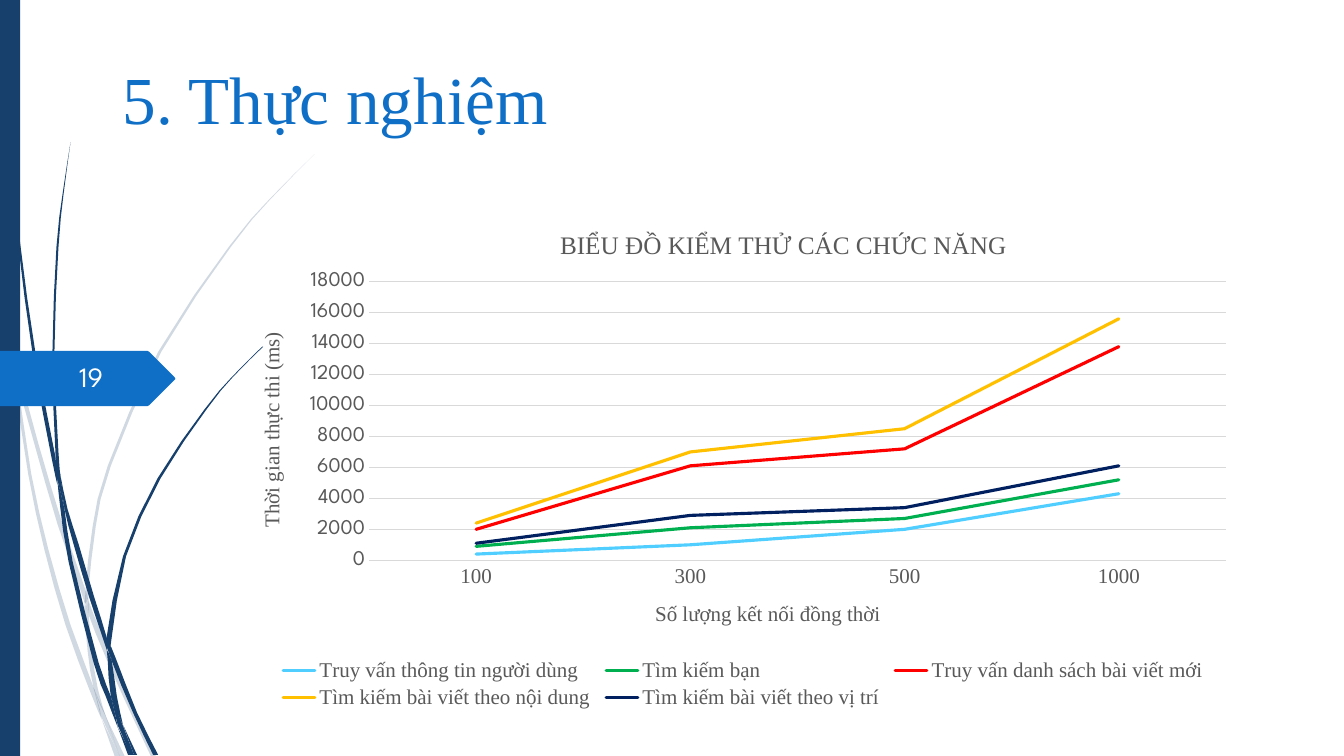
from pptx import Presentation, util as u
from pptx.chart.data import CategoryChartData
from pptx.dml.color import RGBColor
from pptx.enum import chart as ch, shapes, text
from pptx.oxml import parse_xml
from pptx.oxml.ns import nsdecls, qn

# Content
WIDE, HIGH = 13.33, 7.5
HUES = {"navy": "17406D", "blue": "0F6FC6", "white": "FEFFFF",
        "gray": "595959", "grid": "D9D9D9"}
SERIF, SANS = "Times New Roman", "League Spartan"
HEAD = "5. Thực nghiệm"
PAGE = "19"
NAME = "BIỂU ĐỒ KIỂM THỬ CÁC CHỨC NĂNG"
X_NAME = "Số lượng kết nối đồng thời"
Y_NAME = "Thời gian thực thi (ms)"
CATS = ["100", "300", "500", "1000"]
ROWS = [
    ("Truy vấn thông tin người dùng", "4FCEFF", (400, 1000, 2000, 4300)),
    ("Tìm kiếm bạn", "00B050", (900, 2100, 2700, 5200)),
    ("Truy vấn danh sách bài viết mới", "FF0000", (2000, 6100, 7200, 13800)),
    ("Tìm kiếm bài viết theo nội dung", "FFC000", (2400, 7000, 8500, 15600)),
    ("Tìm kiếm bài viết theo vị trí", "002060", (1100, 2900, 3400, 6100)),
]

# Grass blades: rows of (height, left edge, right edge), from tip to root
PALE = [
    [(2.82, 0, 0), (2.99, 0, .04), (3.22, .05, .09), (3.5, .11, .11)],
    [(3.45, .14, .14), (3.76, .17, .21), (4.4, .34, .38), (5.2, .57, .62),
     (5.86, .8, .85), (5.99, .84, .84)],
    [(5.96, .88, .88), (6.1, .88, .93), (6.5, 1.04, 1.1),
     (6.93, 1.23, 1.28), (7.51, 1.5, 1.55)],
    [(7.11, 1.05, 1.05), (7.51, 1.19, 1.24)],
    [(3.5, .11, .11), (3.76, .14, .17), (4.7, .28, .31), (5.45, .44, .48),
     (6.2, .65, .7), (6.85, .89, .94), (7.14, 1.01, 1.01)],
    [(5.99, .84, .84), (6.1, .84, .88), (6.46, .87, .91),
     (6.83, .93, .97), (7.11, 1.05, 1.05)],
    [(1.53, 3.12, 3.12), (1.98, 2.67, 2.68), (2.45, 2.27, 2.29),
     (3.49, 1.57, 1.6), (4.62, 1.07, 1.1), (5.22, .92, .95),
     (5.84, .85, .88), (5.96, .88, .88)],
    [(7.14, 1.01, 1.01), (7.51, 1.14, 1.19)],
    [(5.86, .85, .85), (5.97, .84, .88), (6.1, .88, .88)],
    [(6.83, .93, .93), (7.1, 1, 1.05), (7.51, 1.19, 1.19)],
]
DARK = [
    [(0, .03, .04), (1.1, .07, .08), (2.33, .17, .19), (3.55, .33, .36),
     (4.53, .51, .55), (4.81, .57, .57)],
    [(4.72, .6, .6), (5.05, .64, .67), (5.4, .73, .78), (5.91, .88, .93),
     (6.33, 1.02, 1.06), (6.45, 1.06, 1.06)],
    [(6.41, 1.1, 1.1), (6.56, 1.11, 1.16), (7.07, 1.32, 1.36), (7.49, 1.52, 1.57)],
    [(4.77, .57, .57), (5.05, .6, .64), (5.57, .68, .72), (6.58, .93, .98),
     (6.91, 1.05, 1.1), (7.22, 1.17, 1.17)],
    [(1.41, .7, .7), (1.93, .62, .63), (2.45, .56, .58), (3.49, .52, .54),
     (4.49, .55, .58), (4.72, .6, .6)],
    [(7.19, 1.22, 1.22), (7.49, 1.33, 1.36)],
    [(4.49, .55, .55), (4.72, .56, .6), (5.05, .64, .64)],
    [(3.44, 2.6, 2.61), (3.74, 2.3, 2.31), (4.06, 2.03, 2.05),
     (4.75, 1.56, 1.59), (5.52, 1.22, 1.25), (6.31, 1.06, 1.11), (6.41, 1.1, 1.1)],
    [(7.22, 1.17, 1.17), (7.49, 1.27, 1.31)],
    [(6.45, 1.06, 1.06), (6.56, 1.07, 1.11), (6.91, 1.1, 1.16), (7.19, 1.22, 1.22)],
    [(6.31, 1.06, 1.06), (6.42, 1.06, 1.1), (6.56, 1.11, 1.11)],
    [(6.91, 1.1, 1.1), (7.2, 1.17, 1.22), (7.49, 1.3, 1.33)],
]
TAG = [(0, 3.48), (1.46, 3.48), (1.48, 3.49), (1.73, 3.74), (1.74, 3.76),
       (1.73, 3.77), (1.48, 4.02), (1.46, 4.03), (0, 4.03)]

# Places inside the chart, as shares of its frame
PLOT = (.13, .143, .85, .553)
KEY = (.036, .884, .93, .115)
SPOTS = {"top": (.315, .031), "x": (.41, .768), "y": (.016, .236)}


def rgb(hue):
    return RGBColor.from_string(HUES.get(hue, hue))


def paint(shape, hue):
    shape.shadow.inherit = False
    shape.fill.solid()
    shape.fill.fore_color.rgb = rgb(hue)
    shape.line.fill.background()


def style(font, size, face, hue):
    font.size, font.name, font.bold = u.Pt(size), face, False
    font.color.rgb = rgb(hue)


def bend(knots):
    """Add a smooth midpoint between each pair of knots."""
    ends = [knots[0]] + knots + [knots[-1]]
    out = []
    for a, b, c, d in zip(ends, ends[1:], ends[2:], ends[3:]):
        mid = tuple((9 * (q + r) - p - s) / 16 for p, q, r, s in zip(a, b, c, d))
        out += [b, mid]
    return out + [knots[-1]]


def draw(points, hue):
    spots = [(u.Inches(x), u.Inches(y)) for x, y in points]
    pen = slide.shapes.build_freeform(*spots[0])
    pen.add_line_segments(spots[1:], close=True)
    shape = pen.convert_to_shape()
    paint(shape, hue)
    return shape


def blade(knots):
    rows = bend(knots) if len(knots) > 3 else knots
    edge = [(x, y) for y, x, _ in rows] + [(x, y) for y, _, x in rows[::-1]]
    return draw(edge, "navy")


def write(box, words, size, face, hue, side, anchor):
    frame = slide.shapes.add_textbox(*map(u.Inches, box)).text_frame
    frame.word_wrap, frame.vertical_anchor = True, anchor
    para = frame.paragraphs[0]
    para.alignment = side
    run = para.add_run()
    run.text = words
    style(run.font, size, face, hue)


def place(node, spot, inner=False):
    """Pin a chart part at (x, y) or (x, y, w, h)."""
    for old in node.findall(qn("c:layout")):
        node.remove(old)
    keys = list(zip("xywh", spot))
    marks = '<c:layoutTarget val="inner"/>' if inner else ""
    marks += "".join(f'<c:{k}Mode val="edge"/>' for k, _ in keys[:2])
    marks += "".join(f'<c:{k} val="{v}"/>' for k, v in keys)
    new = parse_xml(f'<c:layout {nsdecls("c")}><c:manualLayout>{marks}'
                    '</c:manualLayout></c:layout>')
    if inner:
        node.insert(0, new)
    else:
        node.find(qn("c:overlay")).addprevious(new)


def label(title, words, size, spot):
    run = title.text_frame.paragraphs[0].add_run()
    run.text = words
    style(run.font, size, SERIF, "gray")
    place(title._element, SPOTS[spot])


deck = Presentation()
deck.slide_width, deck.slide_height = u.Inches(WIDE), u.Inches(HIGH)
slide = deck.slides.add_slide(deck.slide_layouts[6])

# Grass, side bar and page tag
for knots in PALE:
    hue = blade(knots)._element.spPr.find(qn("a:solidFill"))[0]
    hue.append(parse_xml(f'<a:alpha {nsdecls("a")} val="20000"/>'))
for knots in DARK:
    blade(knots)
bar = slide.shapes.add_shape(shapes.MSO_SHAPE.RECTANGLE, 0, 0,
                             u.Inches(.2), u.Inches(HIGH))
paint(bar, "navy")
draw(TAG, "blue")

# Heading and page number
write((1.12, .35, 7.1, 1.07), HEAD, 48, SERIF, "blue",
      text.PP_ALIGN.LEFT, text.MSO_ANCHOR.BOTTOM)
write((.27, 3.53, .85, .4), PAGE, 20, SANS, "white",
      text.PP_ALIGN.RIGHT, text.MSO_ANCHOR.MIDDLE)

# Chart
data = CategoryChartData()
data.categories = CATS
for name, _, vals in ROWS:
    data.add_series(name, vals)
chart = slide.shapes.add_chart(ch.XL_CHART_TYPE.LINE,
                               *map(u.Inches, (2.36, 2.08, 10, 5)), data).chart
style(chart.font, 15, SERIF, "gray")
chart.plots[0].vary_by_categories = False
for line, (_, hue, _) in zip(chart.plots[0].series, ROWS):
    line.smooth = False
    line.format.line.width = u.Pt(2.25)
    line.format.line.color.rgb = rgb(hue)
    line._element.spPr.find(qn("a:ln")).set("cap", "rnd")

# Axes
across, up = chart.category_axis, chart.value_axis
for axis, face in ((across, SERIF), (up, SANS)):
    axis.major_tick_mark = axis.minor_tick_mark = ch.XL_TICK_MARK.NONE
    style(axis.tick_labels.font, 15, face, "gray")
up.minimum_scale, up.maximum_scale, up.major_unit = 0, 18000, 2000
up.format.line.fill.background()
up.has_major_gridlines = True
for rule in (across.format.line, up.major_gridlines.format.line):
    rule.width, rule.color.rgb = u.Pt(.75), rgb("grid")

# Titles, legend and plot area
chart.has_title = True
label(chart.chart_title, NAME, 18, "top")
label(across.axis_title, X_NAME, 15, "x")
label(up.axis_title, Y_NAME, 15, "y")
turn = up.axis_title._element.find(".//" + qn("a:bodyPr"))
turn.set("rot", "-5400000")
turn.set("vert", "horz")
chart.has_legend = True
chart.legend.position = ch.XL_LEGEND_POSITION.BOTTOM
chart.legend.include_in_layout = False
style(chart.legend.font, 15, SERIF, "gray")
place(chart.legend._element, KEY)
place(chart._chartSpace.chart.plotArea, PLOT, True)

deck.save("out.pptx")
